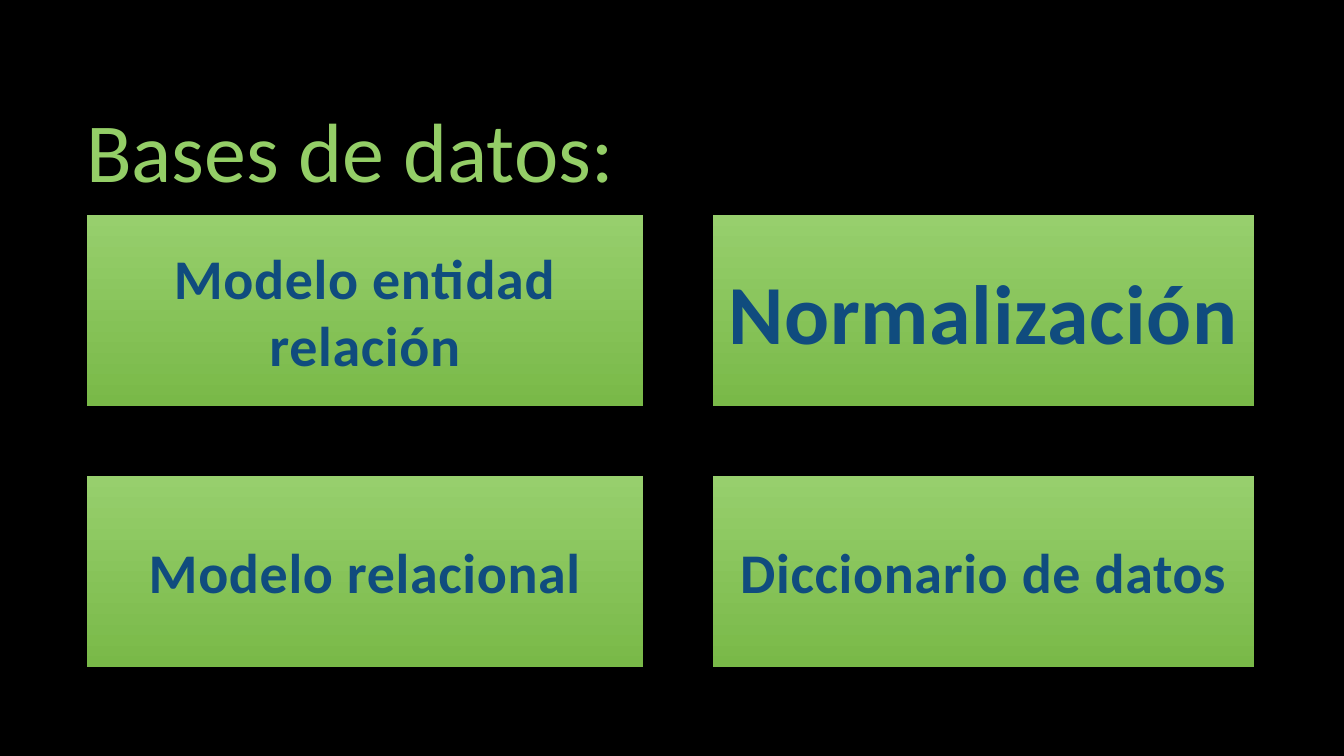
from dataclasses import dataclass

from pptx import Presentation
from pptx.dml.color import RGBColor
from pptx.enum.shapes import MSO_SHAPE
from pptx.enum.text import MSO_ANCHOR, MSO_AUTO_SIZE, PP_ALIGN
from pptx.slide import Slide
from pptx.text.text import TextFrame
from pptx.util import Emu, Pt

EMU_PER_PX = 914400 / 100.8
FONT = "Calibri"
BLACK = "000000"
TITLE_GREEN = "94CE67"
LIGHT_GREEN = "97CF6D"
DARK_GREEN = "79B948"
BLUE = "104C7E"

LEFT, TOP, GAP = 87, 215, 70
COLUMN_WIDTHS = (556, 541)
BOX_HEIGHT = 191


@dataclass(frozen=True)
class Topic:
    text: str
    row: int
    col: int
    size: int = 40


TOPICS = (
    Topic("Modelo entidad relación", 0, 0),
    Topic("Normalización", 0, 1, 60),
    Topic("Modelo relacional", 1, 0),
    Topic("Diccionario de datos", 1, 1),
)


def px(value: int) -> Emu:
    return Emu(round(value * EMU_PER_PX))


def rgb(value: str) -> RGBColor:
    return RGBColor.from_string(value)


def set_text(tf: TextFrame, text: str, size: int, color: str,
             align: PP_ALIGN, bold: bool = False) -> None:
    tf.text = text
    tf.word_wrap = True
    tf.auto_size = MSO_AUTO_SIZE.NONE
    tf.vertical_anchor = MSO_ANCHOR.MIDDLE
    p = tf.paragraphs[0]
    p.alignment = align
    font = p.runs[0].font
    font.name = FONT
    font.size = Pt(size)
    font.bold = bold
    font.color.rgb = rgb(color)


def add_title(slide: Slide, text: str) -> None:
    sp = slide.shapes.title
    sp.left, sp.top, sp.width, sp.height = px(76), px(69), px(1117), px(160)
    set_text(sp.text_frame, text, 60, TITLE_GREEN, PP_ALIGN.LEFT)


def add_topic(slide: Slide, topic: Topic) -> None:
    left = LEFT + sum(COLUMN_WIDTHS[:topic.col]) + topic.col * GAP
    top = TOP + topic.row * (BOX_HEIGHT + GAP)
    sp = slide.shapes.add_shape(MSO_SHAPE.RECTANGLE, px(left), px(top),
                                px(COLUMN_WIDTHS[topic.col]), px(BOX_HEIGHT))
    sp.shadow.inherit = False
    sp.line.fill.background()
    sp.fill.gradient()
    sp.fill.gradient_angle = 270
    for i, (stop, color) in enumerate(zip(sp.fill.gradient_stops, (LIGHT_GREEN, DARK_GREEN))):
        stop.position = i
        stop.color.rgb = rgb(color)
    set_text(sp.text_frame, topic.text, topic.size, BLUE, PP_ALIGN.CENTER, bold=True)
    r = sp.text_frame.paragraphs[0].runs[0]
    r.font._element.set("spc", "50")


def main() -> None:
    prs = Presentation()
    prs.slide_width, prs.slide_height = px(1344), px(756)
    slide = prs.slides.add_slide(prs.slide_layouts[5])
    slide.background.fill.solid()
    slide.background.fill.fore_color.rgb = rgb(BLACK)
    add_title(slide, "Bases de datos:")
    for topic in TOPICS:
        add_topic(slide, topic)
    prs.save("out.pptx")


if __name__ == "__main__":
    main()
